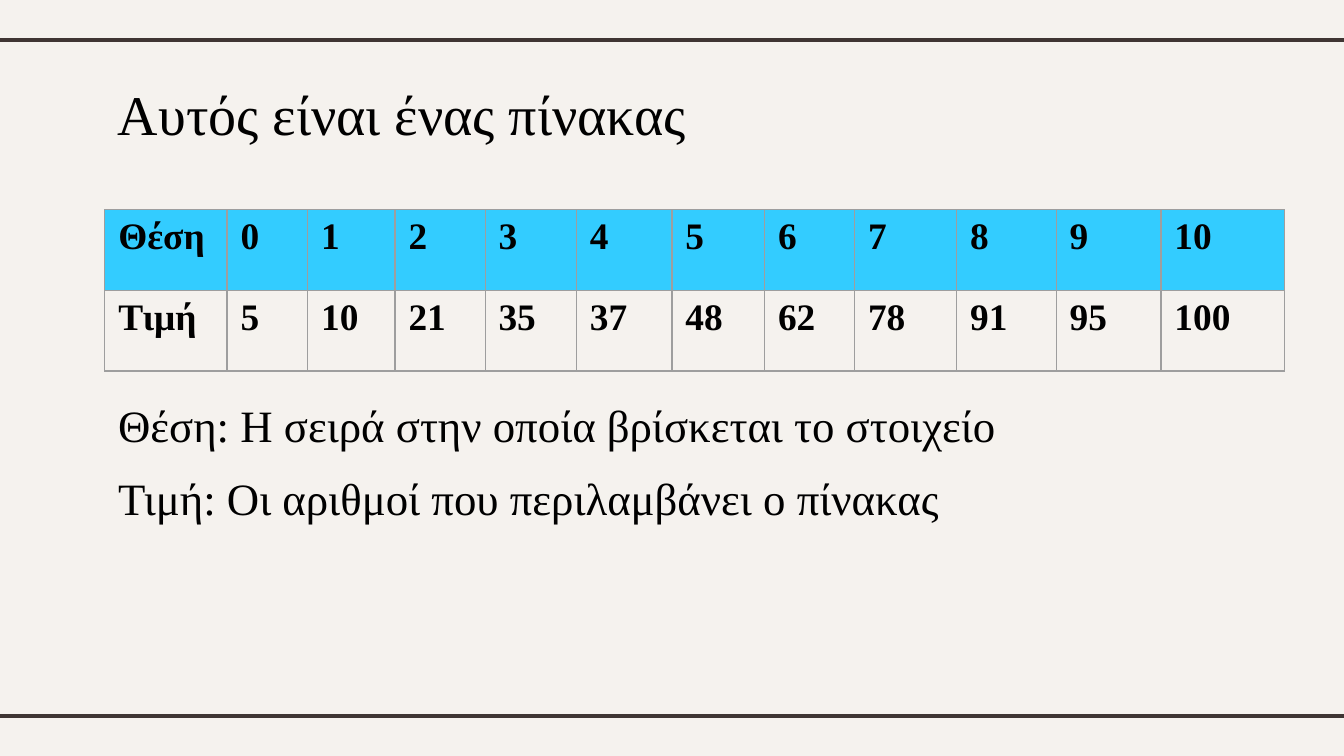
from pptx import Presentation
from pptx.dml.color import RGBColor as RGB
from pptx.enum.shapes import MSO_CONNECTOR as CONN
from pptx.enum.text import MSO_ANCHOR as ANCHOR
from pptx.util import Inches, Pt
from pptx.oxml.ns import qn
from lxml import etree

COLORS = dict(bg="F5F2EE", rule="3F3533", text="000000", header="33CCFF", border="9E9E9E")
FONT = "Times New Roman"
WIDTH = 10
LEFT = 0.78
RULES = [0.3, 5.33]
TEXTS = [
    ("Αυτός είναι ένας πίνακας", 0.49, 8.44, 0.63, 30),
    ("Θέση: Η σειρά στην οποία βρίσκεται το στοιχείο", 2.86, 8.68, 0.54, 24),
    ("Τιμή: Οι αριθμοί που περιλαμβάνει ο πίνακας", 3.4, 8.68, 0.54, 24),
]
ROWS = [
    ["Θέση", *range(11)],
    ["Τιμή", 5, 10, 21, 35, 37, 48, 62, 78, 91, 95, 100],
]
COLS = [0.91, 0.6, 0.65, 0.67, 0.68, 0.71, 0.69, 0.67, 0.76, 0.74, 0.78, 0.92]
TABLE_TOP, ROW_H = 1.56, 0.6


def write(tf, text, size, bold=False):
    r = tf.paragraphs[0].add_run()
    r.text = text
    r.font.name, r.font.size, r.font.bold = FONT, Pt(size), bold
    r.font.color.rgb = RGB.from_string(COLORS["text"])


def set_borders(cell):
    tcPr = cell._tc.get_or_add_tcPr()
    for i, side in enumerate(("a:lnL", "a:lnR", "a:lnT", "a:lnB")):
        ln = etree.Element(qn(side), w=str(Pt(0.75)))
        fill = etree.SubElement(ln, qn("a:solidFill"))
        etree.SubElement(fill, qn("a:srgbClr"), val=COLORS["border"])
        tcPr.insert(i, ln)


prs = Presentation()
prs.slide_width, prs.slide_height = Inches(WIDTH), Inches(WIDTH * 9 / 16)
s = prs.slides.add_slide(prs.slide_layouts[6])
s.background.fill.solid()
s.background.fill.fore_color.rgb = RGB.from_string(COLORS["bg"])

for y in RULES:
    rule = s.shapes.add_connector(CONN.STRAIGHT, Inches(-0.08), Inches(y), Inches(10.08), Inches(y))
    rule.line.color.rgb = RGB.from_string(COLORS["rule"])
    rule.line.width = Pt(2.25)
    etree.SubElement(rule._element.spPr, qn("a:effectLst"))

for text, top, width, height, size in TEXTS:
    sp = s.shapes.add_textbox(Inches(LEFT), Inches(top), Inches(width), Inches(height))
    tf = sp.text_frame
    tf.word_wrap = True
    tf.vertical_anchor = ANCHOR.TOP
    tf.margin_left = tf.margin_right = tf.margin_top = tf.margin_bottom = Inches(0.1)
    write(tf, text, size)

frame = s.shapes.add_table(len(ROWS), len(COLS), Inches(LEFT), Inches(TABLE_TOP),
                           Inches(sum(COLS)), Inches(ROW_H * len(ROWS)))
table = frame.table
table.first_row = table.horz_banding = False
for col, width in zip(table.columns, COLS):
    col.width = Inches(width)
for i, values in enumerate(ROWS):
    table.rows[i].height = Inches(ROW_H)
    for j, value in enumerate(values):
        cell = table.cell(i, j)
        if i == 0:
            cell.fill.solid()
            cell.fill.fore_color.rgb = RGB.from_string(COLORS["header"])
        else:
            cell.fill.background()
        write(cell.text_frame, str(value), 20, bold=True)
        set_borders(cell)

prs.save("out.pptx")
